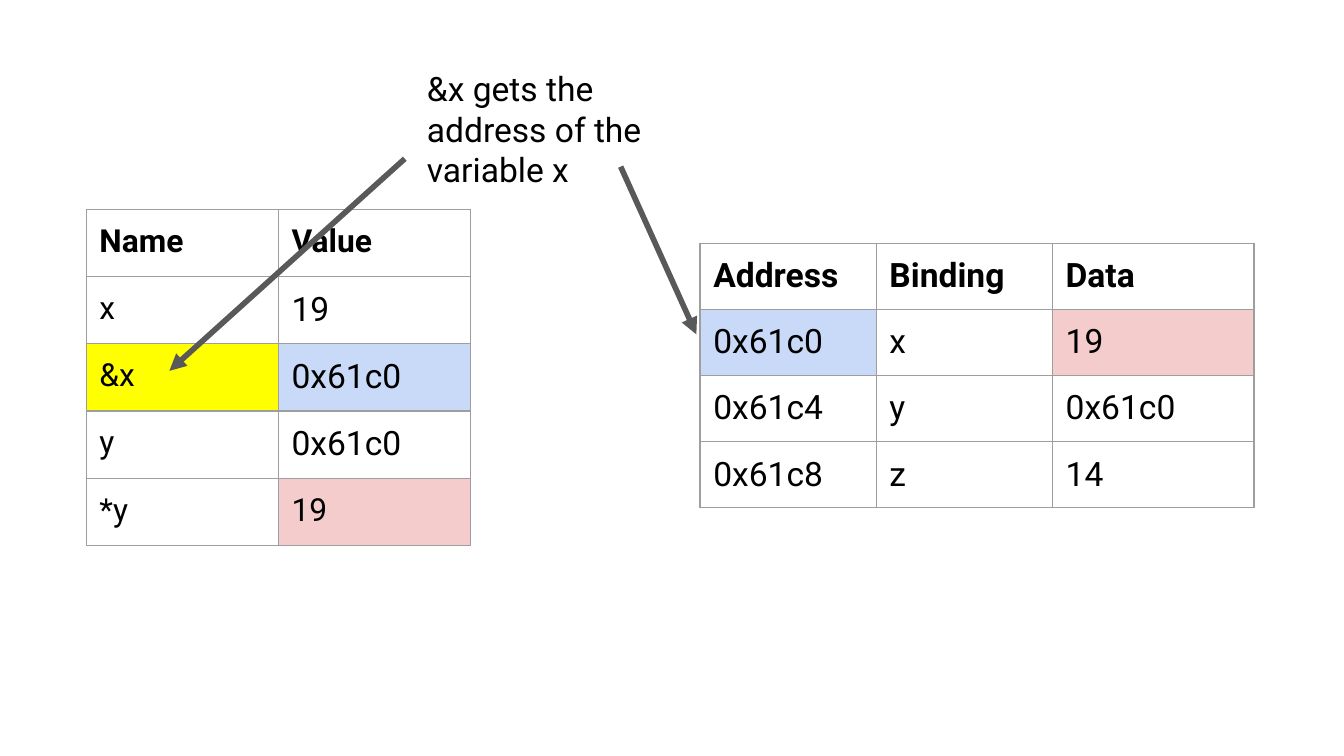
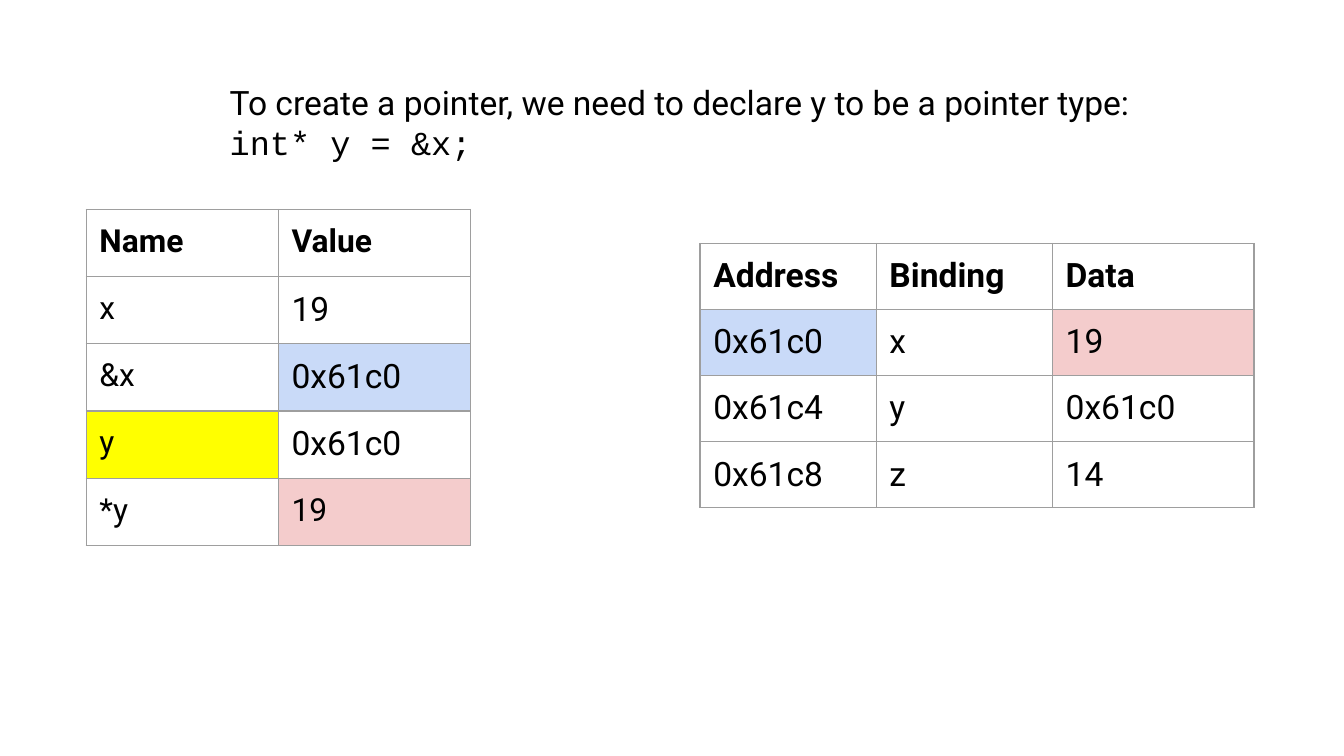
from lxml import etree
from pptx import Presentation
from pptx.dml.color import RGBColor
from pptx.enum import shapes, text
from pptx.oxml import ns
from pptx.util import Cm, Pt

BLACK = RGBColor(0x00, 0x00, 0x00)
ARROW_GREY = RGBColor(0x59, 0x59, 0x59)
BORDER_GREY = RGBColor(0x9E, 0x9E, 0x9E)
ADDRESS_BLUE = RGBColor(0xC9, 0xDA, 0xF8)
DATA_PINK = RGBColor(0xF4, 0xCC, 0xCC)
FOCUS_YELLOW = RGBColor(0xFF, 0xFF, 0x00)
WHITE = RGBColor(0xFF, 0xFF, 0xFF)

BODY_FONT = "Roboto"
CODE_FONT = "Courier New"
INSET = Cm(0.25)

MEMORY_ROWS = [
    ("Address", "Binding", "Data"),
    ("0x61c0", "x", "19"),
    ("0x61c4", "y", "0x61c0"),
    ("0x61c8", "z", "14"),
]
MEMORY_FILLS = {(1, 0): ADDRESS_BLUE, (1, 2): DATA_PINK}

EXPRESSION_ROWS = [
    ("Name", "Value"),
    ("x", "19"),
    ("&x", "0x61c0"),
    ("y", "0x61c0"),
    ("*y", "19"),
]
EXPRESSION_FILLS = {(2, 1): ADDRESS_BLUE, (4, 1): DATA_PINK}
EXPRESSION_SIZES = {(row, 1): 18 for row in (1, 2, 3)}


def add_xml(parent, tag, **attributes):
    return etree.SubElement(parent, ns.qn(tag), attributes)


def write(para, words, size=18, font=BODY_FONT, bold=False, color=BLACK):
    span = para.add_run()
    span.text = words
    span.font.size = Pt(size)
    span.font.name = font
    span.font.bold = bold
    span.font.color.rgb = color


def set_insets(target):
    """Give a text frame or a table cell the same margin on all sides."""
    target.margin_left = target.margin_right = INSET
    target.margin_top = target.margin_bottom = INSET


def add_borders(cell, color=BORDER_GREY, width=0.75):
    """Draw all four borders; call before filling, as the schema wants lines first."""
    properties = cell._tc.get_or_add_tcPr()
    for side in ("a:lnL", "a:lnR", "a:lnT", "a:lnB"):
        line = add_xml(properties, side, w=str(Pt(width)))
        add_xml(add_xml(line, "a:solidFill"), "a:srgbClr", val=str(color))


class PointerDeck:
    def __init__(self):
        self.deck = Presentation()
        self.deck.slide_width = Cm(25.4)
        self.deck.slide_height = Cm(14.29)
        self.page = None

    def new_page(self):
        self.page = self.deck.slides.add_slide(self.deck.slide_layouts[6])
        fill = self.page.background.fill
        fill.solid()
        fill.fore_color.rgb = WHITE

    def table(self, left, top, widths, row_height, rows, fills, size=18, sizes=None):
        """Add a grid; fills and sizes map (row, column) to exceptions."""
        frame = self.page.shapes.add_table(
            len(rows), len(widths), Cm(left), Cm(top),
            Cm(sum(widths)), Cm(row_height * len(rows)))
        grid = frame.table
        grid.first_row = grid.horz_banding = False
        for column, width in zip(grid.columns, widths):
            column.width = Cm(width)
        for r, row in enumerate(rows):
            grid.rows[r].height = Cm(row_height)
            for c, words in enumerate(row):
                cell = grid.cell(r, c)
                set_insets(cell)
                write(cell.text_frame.paragraphs[0], words, bold=r == 0,
                      size=(sizes or {}).get((r, c), size))
                add_borders(cell)
                if (r, c) in fills:
                    cell.fill.solid()
                    cell.fill.fore_color.rgb = fills[r, c]
                else:
                    cell.fill.background()

    def memory_and_expressions(self, focus_row):
        """Add both tables, with one expression name highlighted."""
        self.table(13.23, 4.6, (3.33, 3.33, 3.81), 1.25, MEMORY_ROWS, MEMORY_FILLS)
        self.table(1.63, 3.96, (3.63, 3.63), 1.27, EXPRESSION_ROWS,
                   {**EXPRESSION_FILLS, (focus_row, 0): FOCUS_YELLOW},
                   size=17, sizes=EXPRESSION_SIZES)

    def note(self, left, top, width, height, lines, grow=False):
        """Add a text box; lines holds (words, font) pairs."""
        box = self.page.shapes.add_textbox(Cm(left), Cm(top), Cm(width), Cm(height))
        frame = box.text_frame
        frame.word_wrap = True
        frame.auto_size = (text.MSO_AUTO_SIZE.SHAPE_TO_FIT_TEXT if grow
                           else text.MSO_AUTO_SIZE.NONE)
        set_insets(frame)
        for i, (words, font) in enumerate(lines):
            para = frame.add_paragraph() if i else frame.paragraphs[0]
            write(para, words, font=font)

    def arrow(self, start, end):
        connector = self.page.shapes.add_connector(
            shapes.MSO_CONNECTOR.STRAIGHT, *map(Cm, start + end))
        connector.line.color.rgb = ARROW_GREY
        connector.line.width = Pt(3)
        add_xml(connector.line._get_or_add_ln(), "a:tailEnd", type="triangle")
        add_xml(connector._element.spPr, "a:effectLst")

    def address_page(self):
        self.new_page()
        self.memory_and_expressions(focus_row=2)
        self.arrow((7.65, 3.0), (3.2, 7.01))
        self.note(7.82, 1.04, 5.21, 2.92,
                  [("&x gets the address of the variable x", BODY_FONT)])
        self.arrow((11.73, 3.15), (13.16, 6.32))

    def declaration_page(self):
        self.new_page()
        self.memory_and_expressions(focus_row=3)
        self.note(4.09, 1.3, 21.39, 2.06, [
            ("To create a pointer, we need to declare y to be a pointer type:", BODY_FONT),
            ("int* y = &x;", CODE_FONT),
        ], grow=True)


def main():
    pointers = PointerDeck()
    pointers.address_page()
    pointers.declaration_page()
    pointers.deck.save("out.pptx")


if __name__ == "__main__":
    main()
